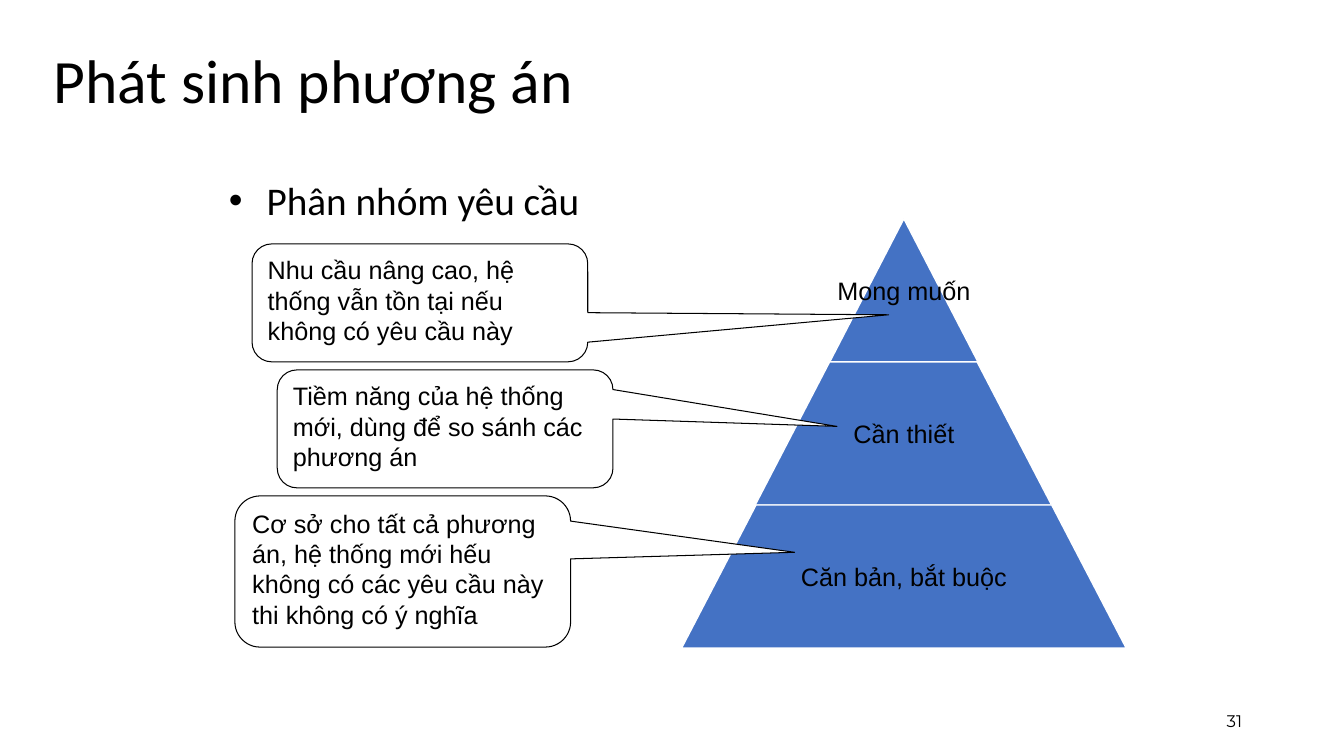
"""Build the slide on grouping requirements with a pyramid and three callouts."""
import pptx
import pptx.dml.color
import pptx.enum.shapes
import pptx.enum.text
import pptx.oxml
import pptx.oxml.ns
import pptx.util

RGBColor = pptx.dml.color.RGBColor
Shape = pptx.enum.shapes.MSO_SHAPE
Align = pptx.enum.text.PP_ALIGN
Anchor = pptx.enum.text.MSO_ANCHOR

BLACK = RGBColor(0x00, 0x00, 0x00)
WHITE = RGBColor(0xFF, 0xFF, 0xFF)
BLUE = RGBColor(0x44, 0x72, 0xC4)

TITLE = ("Phát sinh phương án", (43, 8, 1200, 150))
TOPIC = ("Phân nhóm yêu cầu", (217, 175, 442, 58))
PAGE_NUMBER = ("31", (942, 695, 300, 40))
LEVELS = [("Mong muốn", 147), ("Cần thiết", 191), ("Căn bản, bắt buộc", 287)]
CALLOUTS = [
    ("Cơ sở cho tất cả phương án, hệ thống mới hếu không có các yêu cầu này "
     "thi không có ý nghĩa", (233, 492, 333, 150), (1.167, -0.127, 0.167)),
    ("Tiềm năng của hệ thống mới, dùng để so sánh các phương án",
     (275, 367, 333, 117), (1.167, -0.021, 0.167)),
    ("Nhu cầu nâng cao, hệ thống vẫn tồn tại nếu không có yêu cầu này",
     (250, 242, 333, 117), (1.396, 0.101, 0.167)),
]
PYRAMID_CENTER, PYRAMID_TOP = 896, 217
LEVEL_HEIGHT, LEVEL_STEP = 142, 147
LEVEL_SLOPE = 0.52
LEVEL_INSET = 3


def px(length):
    return pptx.util.Emu(length * 9144)


def place(shape, box):
    shape.left, shape.top, shape.width, shape.height = map(px, box)


def write(shape, text, size, font, align=Align.LEFT, anchor=Anchor.TOP):
    frame = shape.text_frame
    frame.text = text
    frame.word_wrap = True
    frame.auto_size = pptx.enum.text.MSO_AUTO_SIZE.NONE
    frame.vertical_anchor = anchor
    paragraph = frame.paragraphs[0]
    paragraph.alignment = align
    for run in paragraph.runs:
        run.font.size = pptx.util.Pt(size)
        run.font.name = font
        run.font.color.rgb = BLACK
    return paragraph


def add_outlined(slide, kind, box, adjustments, fill, line, weight):
    shape = slide.shapes.add_shape(kind, *map(px, box))
    for index, value in enumerate(adjustments):
        shape.adjustments[index] = value
    shape.shadow.inherit = False
    shape.fill.solid()
    shape.fill.fore_color.rgb = fill
    shape.line.color.rgb = line
    shape.line.width = pptx.util.Pt(weight)
    return shape


def add_level(slide, index, label, label_width):
    width = LEVEL_STEP * (index + 1)
    top = PYRAMID_TOP + LEVEL_HEIGHT * index
    add_outlined(slide, Shape.TRAPEZOID,
                 (PYRAMID_CENTER - width // 2, top, width, LEVEL_HEIGHT),
                 [LEVEL_SLOPE], BLUE, WHITE, 1)
    caption = slide.shapes.add_textbox(
        *map(px, (PYRAMID_CENTER - label_width // 2, top, label_width, LEVEL_HEIGHT)))
    frame = caption.text_frame
    frame.margin_left = frame.margin_right = px(LEVEL_INSET)
    frame.margin_top = frame.margin_bottom = px(LEVEL_INSET)
    write(caption, label, 18, "Arial", Align.CENTER, Anchor.MIDDLE)


def add_topic(body):
    text, box = TOPIC
    place(body, box)
    body.text_frame.text = text
    properties = body.text_frame.paragraphs[0]._p.get_or_add_pPr()
    properties.set("marL", str(px(25)))
    properties.set("indent", str(px(-25)))
    namespace = pptx.oxml.ns.nsdecls("a")
    properties.append(pptx.oxml.parse_xml(f'<a:buFont {namespace} typeface="Arial"/>'))
    properties.append(pptx.oxml.parse_xml(f'<a:buChar {namespace} char="•"/>'))
    paragraph = write(body, text, 28, "Calibri")
    paragraph.line_spacing = 0.9
    paragraph.space_before = pptx.util.Pt(0)


def main():
    deck = pptx.Presentation()
    deck.slide_width, deck.slide_height = px(1333), px(750)
    slide = deck.slides.add_slide(deck.slide_layouts[1])

    page_text, page_box = PAGE_NUMBER
    page_number = slide.shapes.add_textbox(*map(px, page_box))
    write(page_number, page_text, 12, "Montserrat", Align.RIGHT, Anchor.MIDDLE)

    title_text, title_box = TITLE
    title = slide.shapes.title
    place(title, title_box)
    write(title, title_text, 44, "Calibri", anchor=Anchor.MIDDLE).line_spacing = 0.9
    add_topic(slide.placeholders[1])

    for index, (label, label_width) in enumerate(LEVELS):
        add_level(slide, index, label, label_width)

    for text, box, pointer in CALLOUTS:
        callout = add_outlined(slide, Shape.ROUNDED_RECTANGULAR_CALLOUT,
                               box, pointer, WHITE, BLACK, 0.75)
        write(callout, text, 18, "Arial")

    deck.save("out.pptx")


if __name__ == "__main__":
    main()
